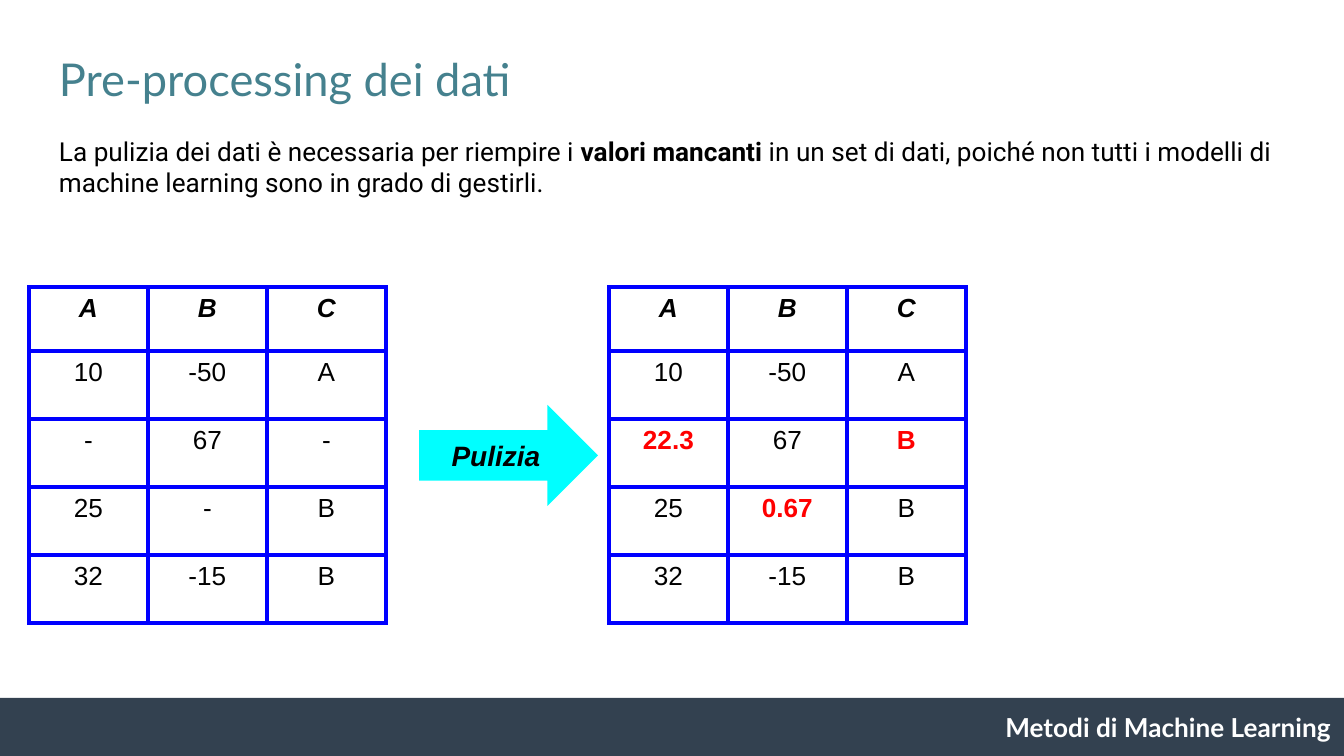
"""Build the slide on filling missing values during data cleaning."""

from typing import NamedTuple

from lxml import etree
from pptx import Presentation
from pptx.dml.color import RGBColor
from pptx.enum.shapes import MSO_SHAPE
from pptx.enum.text import MSO_ANCHOR, PP_ALIGN
from pptx.oxml.ns import qn
from pptx.util import Emu, Pt

LEFT, CENTER, RIGHT = PP_ALIGN.LEFT, PP_ALIGN.CENTER, PP_ALIGN.RIGHT
TOP, MIDDLE = MSO_ANCHOR.TOP, MSO_ANCHOR.MIDDLE
RECTANGLE, RIGHT_ARROW = MSO_SHAPE.RECTANGLE, MSO_SHAPE.RIGHT_ARROW

PX_PER_INCH = 134.4
INSET = 13
CELL_INSET = 7
COLUMN_WIDTH = 119
HEADER_HEIGHT = 64
ROW_HEIGHT = 68
BORDER_WIDTH = 2.21
TABLE_TOP = 287

COLORS = {
    "title": "45818E",
    "bar": "334150",
    "white": "FFFFFF",
    "black": "000000",
    "grid": "0000FF",
    "arrow": "00FFFF",
    "filled": "FF0000",
}


class Box(NamedTuple):
    """Position and size in px."""

    left: int
    top: int
    width: int
    height: int


class Style(NamedTuple):
    """Look of a run of text."""

    font: str
    size: float
    color: str
    bold: bool = False
    italic: bool = False


class Span(NamedTuple):
    """Words with one style."""

    text: str
    style: Style


class DataTable(NamedTuple):
    """A data set with the cells that cleaning has filled in."""

    left: int
    rows: list[list[str]]
    filled: set[tuple[int, int]]


TITLE = Style("Lato", 24.2, "title")
FOOTER = Style("Lato", 14, "white", bold=True)
BODY = Style("Roboto", 14, "black")
STRONG = BODY._replace(bold=True)
CELL = Style("Arial", 14, "black")
HEADER = CELL._replace(bold=True, italic=True)
FILLED = CELL._replace(color="filled", bold=True)
ARROW = HEADER._replace(size=15)

TABLES = [
    DataTable(
        29,
        [
            ["A", "B", "C"],
            ["10", "-50", "A"],
            ["-", "67", "-"],
            ["25", "-", "B"],
            ["32", "-15", "B"],
        ],
        set(),
    ),
    DataTable(
        609,
        [
            ["A", "B", "C"],
            ["10", "-50", "A"],
            ["22.3", "67", "B"],
            ["25", "0.67", "B"],
            ["32", "-15", "B"],
        ],
        {(2, 0), (2, 2), (3, 1)},
    ),
]


def px(length: int) -> Emu:
    """Turn px into EMU."""
    return Emu(round(length * 914400 / PX_PER_INCH))


def place(box: Box) -> list[Emu]:
    """Give the position and size of a box in EMU."""
    return [px(length) for length in box]


def color(name: str) -> RGBColor:
    """Look up a colour by name."""
    return RGBColor.from_string(COLORS[name])


def write(frame, spans: list[Span], align, anchor=TOP) -> None:
    """Write one paragraph of styled spans into a text frame."""
    frame.word_wrap = True
    frame.vertical_anchor = anchor
    frame.margin_left = frame.margin_right = px(INSET)
    frame.margin_top = frame.margin_bottom = px(INSET)
    fill_paragraph(frame.paragraphs[0], spans, align)


def fill_paragraph(para, spans: list[Span], align) -> None:
    """Add styled spans to a paragraph."""
    para.alignment = align
    for text, style in spans:
        run = para.add_run()
        run.text = text
        run.font.name = style.font
        run.font.size = Pt(style.size)
        run.font.bold = style.bold
        run.font.italic = style.italic
        run.font.color.rgb = color(style.color)


def add_text(page, box: Box, spans: list[Span], align=LEFT) -> None:
    """Add a text box."""
    write(page.shapes.add_textbox(*place(box)).text_frame, spans, align)


def add_filled_shape(page, kind, box: Box, fill: str):
    """Add a preset shape with a plain fill and no line."""
    shape = page.shapes.add_shape(kind, *place(box))
    shape.shadow.inherit = False
    shape.fill.solid()
    shape.fill.fore_color.rgb = color(fill)
    shape.line.fill.background()
    return shape


def add_borders(cell) -> None:
    """Draw the four borders of a cell."""
    properties = cell._tc.get_or_add_tcPr()
    for side in ("a:lnL", "a:lnR", "a:lnT", "a:lnB"):
        line = etree.SubElement(properties, qn(side), w=str(Pt(BORDER_WIDTH)))
        fill = etree.SubElement(line, qn("a:solidFill"))
        etree.SubElement(fill, qn("a:srgbClr"), val=COLORS["grid"])


def add_data_table(page, data: DataTable) -> None:
    """Add a bordered table with a header row."""
    row_count, column_count = len(data.rows), len(data.rows[0])
    height = HEADER_HEIGHT + (row_count - 1) * ROW_HEIGHT
    box = Box(data.left, TABLE_TOP, column_count * COLUMN_WIDTH, height)
    table = page.shapes.add_table(row_count, column_count, *place(box)).table
    table.first_row = table.horz_banding = False
    for column in table.columns:
        column.width = px(COLUMN_WIDTH)
    for i, values in enumerate(data.rows):
        table.rows[i].height = px(ROW_HEIGHT if i else HEADER_HEIGHT)
        for j, value in enumerate(values):
            cell = table.cell(i, j)
            add_borders(cell)
            cell.fill.background()
            cell.margin_left = cell.margin_right = px(INSET)
            cell.margin_top = cell.margin_bottom = px(CELL_INSET)
            style = FILLED if (i, j) in data.filled else CELL if i else HEADER
            fill_paragraph(cell.text_frame.paragraphs[0], [Span(value, style)], CENTER)


def main() -> None:
    """Build and save the deck."""
    deck = Presentation()
    deck.slide_width, deck.slide_height = px(1344), px(756)
    page = deck.slides.add_slide(deck.slide_layouts[6])
    add_text(page, Box(46, 38, 1253, 84), [Span("Pre-processing dei dati", TITLE)])
    add_filled_shape(page, RECTANGLE, Box(-3, 698, 1347, 58), "bar")
    add_text(page, Box(985, 698, 359, 58), [Span("Metodi di Machine Learning", FOOTER)], RIGHT)
    explanation = [
        Span("La pulizia dei dati è necessaria per riempire i ", BODY),
        Span("valori mancanti", STRONG),
        Span(" in un set di dati, poiché non tutti i modelli di machine learning sono in grado di gestirli.", BODY),
    ]
    add_text(page, Box(46, 122, 1333, 110), explanation)
    arrow = add_filled_shape(page, RIGHT_ARROW, Box(419, 405, 179, 101), "arrow")
    write(arrow.text_frame, [Span("Pulizia", ARROW)], CENTER, MIDDLE)
    for data in TABLES:
        add_data_table(page, data)
    deck.save("out.pptx")


if __name__ == "__main__":
    main()
